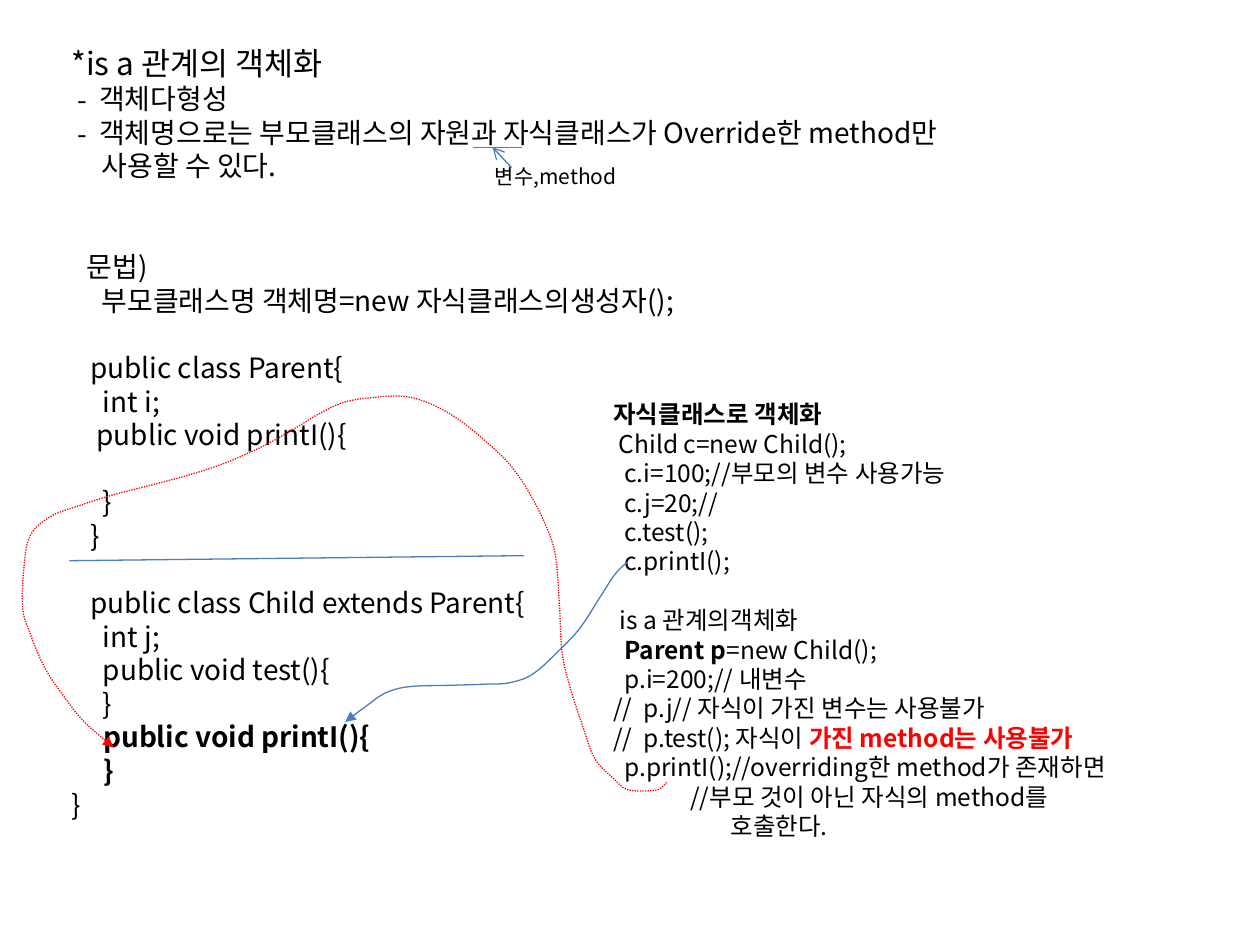
from dataclasses import dataclass

from lxml.etree import SubElement
from pptx import Presentation
from pptx.dml.color import RGBColor
from pptx.enum.dml import MSO_LINE
from pptx.enum.shapes import MSO_CONNECTOR
from pptx.enum.text import MSO_AUTO_SIZE
from pptx.oxml.ns import qn
from pptx.util import Inches, Pt

FONT = "Noto Sans CJK KR"
BLACK, RED, BLUE = "000000", "FF0000", "4B7EBC"
LINE_HEIGHT = 1.2
STEPS = 5  # straight pieces between two knots of a curve
UNITS = 1000  # freeform units to the inch; freeforms round to whole units

Point = tuple[float, float]


@dataclass
class Run:
    text: str
    bold: bool = False
    color: str = BLACK


@dataclass
class Line:
    """One paragraph; gap counts the empty lines above it."""
    content: str | tuple[Run, ...]
    size: int = 16
    bold: bool = False
    indent: float = 0
    dash: bool = False
    gap: int = 0


@dataclass
class TextBlock:
    left: float
    top: float
    width: float
    height: float
    lines: list[Line]


@dataclass
class Stroke:
    start: Point
    end: Point
    arrow: str = ""


@dataclass
class Curve:
    color: str
    knots: list[Point]
    dotted: bool = False


def rgb(color: str) -> RGBColor:
    return RGBColor.from_string(color)


def format_paragraph(paragraph, line: Line) -> None:
    properties = paragraph._p.get_or_add_pPr()
    if line.indent:
        properties.set("marL", str(Inches(line.indent)))
    if line.dash:
        properties.set("indent", str(-Inches(0.17)))
        SubElement(properties, qn("a:buFont"), typeface=FONT)
        SubElement(properties, qn("a:buChar"), char="-")
    paragraph.line_spacing = Pt(line.size * LINE_HEIGHT)
    if line.gap:
        paragraph.space_before = Pt(line.gap * line.size * LINE_HEIGHT)
    font = paragraph.font
    font.name, font.size = FONT, Pt(line.size)
    font.color.rgb = rgb(BLACK)
    font.bold = line.bold
    SubElement(properties.find(qn("a:defRPr")), qn("a:ea"), typeface=FONT)


def add_text(slide, block: TextBlock) -> None:
    shape = slide.shapes.add_textbox(Inches(block.left), Inches(block.top),
                                     Inches(block.width), Inches(block.height))
    frame = shape.text_frame
    frame.word_wrap = True
    frame.auto_size = MSO_AUTO_SIZE.SHAPE_TO_FIT_TEXT
    for index, line in enumerate(block.lines):
        paragraph = frame.add_paragraph() if index else frame.paragraphs[0]
        format_paragraph(paragraph, line)
        if isinstance(line.content, str):
            paragraph.add_run().text = line.content
            continue
        for part in line.content:
            run = paragraph.add_run()
            run.text = part.text
            run.font.bold = part.bold
            run.font.color.rgb = rgb(part.color)


def format_line(shape, color: str, arrow: str = "", dotted: bool = False) -> None:
    shape.line.color.rgb = rgb(color)
    shape.line.width = Pt(0.75)
    if dotted:
        shape.line.dash_style = MSO_LINE.ROUND_DOT
    if arrow:
        SubElement(shape.line._get_or_add_ln(), qn("a:tailEnd"), type=arrow)


def add_stroke(slide, stroke: Stroke) -> None:
    ends = [Inches(value) for value in (*stroke.start, *stroke.end)]
    connector = slide.shapes.add_connector(MSO_CONNECTOR.STRAIGHT, *ends)
    format_line(connector, BLUE, stroke.arrow)
    SubElement(connector._element.spPr, qn("a:effectLst"))


def smooth(knots: list[Point]) -> list[Point]:
    """Catmull-Rom points through the knots."""
    padded = [knots[0], *knots, knots[-1]]
    points = [knots[0]]
    for a, b, c, d in zip(padded, padded[1:], padded[2:], padded[3:]):
        for step in range(1, STEPS + 1):
            t = step / STEPS
            points.append(tuple(
                (2 * q + (r - p) * t + (2 * p - 5 * q + 4 * r - s) * t ** 2
                 + (3 * q - p - 3 * r + s) * t ** 3) / 2
                for p, q, r, s in zip(a, b, c, d)))
    return points


def add_curve(slide, curve: Curve) -> None:
    first, *rest = [(x * UNITS, y * UNITS) for x, y in smooth(curve.knots)]
    builder = slide.shapes.build_freeform(*first, scale=Inches(1) / UNITS)
    builder.add_line_segments(rest, close=False)
    shape = builder.convert_to_shape()
    shape.fill.background()
    shape.shadow.inherit = False
    format_line(shape, curve.color, "triangle", curve.dotted)


# Explanation, syntax and the two classes
CLASSES = TextBlock(0.47, 0.3, 7.68, 6.33, [
    Line("*is a 관계의 객체화", size=18),
    Line("객체다형성", indent=0.22, dash=True),
    Line("객체명으로는 부모클래스의 자원과 자식클래스가 Override한 method만",
         indent=0.22, dash=True),
    Line("사용할 수 있다.", indent=0.24),
    Line("문법)", indent=0.12, gap=2),
    Line("부모클래스명 객체명=new 자식클래스의생성자();", indent=0.24),
    Line("   public class Parent{", gap=1),
    Line("     int i;"),
    Line("    public void printI(){"),
    Line("     }", gap=1),
    Line("   }"),
    Line("   public class Child extends Parent{", gap=1),
    Line("     int j;"),
    Line("     public void test(){"),
    Line("     }"),
    Line("     public void printI(){", bold=True),
    Line("     }", bold=True),
    Line("}"),
])
NOTE = TextBlock(3.83, 1.25, 1.17, 0.3, [Line("변수,method", size=12)])

# Code that uses the classes
USAGE = TextBlock(4.77, 3.12, 4.2, 3.64, [
    Line("자식클래스로 객체화", 14, bold=True),
    Line(" Child c=new Child();", 14),
    Line("  c.i=100;//부모의 변수 사용가능", 14),
    Line("  c.j=20;//", 14),
    Line("  c.test();", 14),
    Line("  c.printI();", 14),
    Line("is a 관계의객체화", 14, indent=0.05, gap=1),
    Line((Run("  "), Run("Parent p", True), Run("=new Child();")), 14),
    Line("  p.i=200;// 내변수", 14),
    Line("//  p.j// 자식이 가진 변수는 사용불가", 14),
    Line((Run("//  p.test(); 자식이 "), Run("가진 method는 사용불가", True, RED)), 14),
    Line("  p.printI();//overriding한 method가 존재하면", 14),
    Line("              //부모 것이 아닌 자식의 method를", 14),
    Line("호출한다.", 14, indent=0.93),
])

# Underline, pointer to the note, divider between the classes
STROKES = [Stroke((3.75, 1.17), (4.14, 1.17)),
           Stroke((4.06, 1.33), (3.91, 1.17), "arrow"),
           Stroke((0.55, 4.45), (4.16, 4.41))]

# Calls of printI() led to the overriding method
CURVES = [
    Curve(BLUE, [(4.98, 4.46), (4.88, 4.56), (4.75, 4.76), (4.6, 4.99), (4.44, 5.16),
                 (4.23, 5.35), (4.04, 5.42), (3.87, 5.43), (3.56, 5.44), (3.25, 5.45),
                 (3.06, 5.5), (2.9, 5.61), (2.74, 5.73)]),
    Curve(RED, [(5.29, 6.21), (5.21, 6.27), (4.99, 6.27), (4.87, 6.18), (4.72, 6.02),
                (4.62, 5.75), (4.52, 5.44), (4.46, 5.17), (4.44, 4.8), (4.41, 4.42),
                (4.34, 4.19), (4.2, 3.91), (4.04, 3.68), (3.84, 3.49), (3.64, 3.33),
                (3.45, 3.22), (3.24, 3.15), (3.01, 3.15), (2.74, 3.19), (2.54, 3.28),
                (2.34, 3.4), (2.11, 3.53), (1.8, 3.67), (1.5, 3.77), (1.2, 3.85),
                (0.89, 3.93), (0.64, 4.01), (0.4, 4.1), (0.24, 4.25), (0.19, 4.5),
                (0.18, 4.83), (0.24, 5.03), (0.35, 5.29), (0.48, 5.49), (0.66, 5.72),
                (0.9, 5.93)], dotted=True),
]


def main() -> None:
    presentation = Presentation()
    presentation.slide_width, presentation.slide_height = Inches(10), Inches(7.5)
    slide = presentation.slides.add_slide(presentation.slide_layouts[6])
    for block in (CLASSES, NOTE, USAGE):
        add_text(slide, block)
    for stroke in STROKES:
        add_stroke(slide, stroke)
    for curve in CURVES:
        add_curve(slide, curve)
    presentation.save("out.pptx")


if __name__ == "__main__":
    main()
